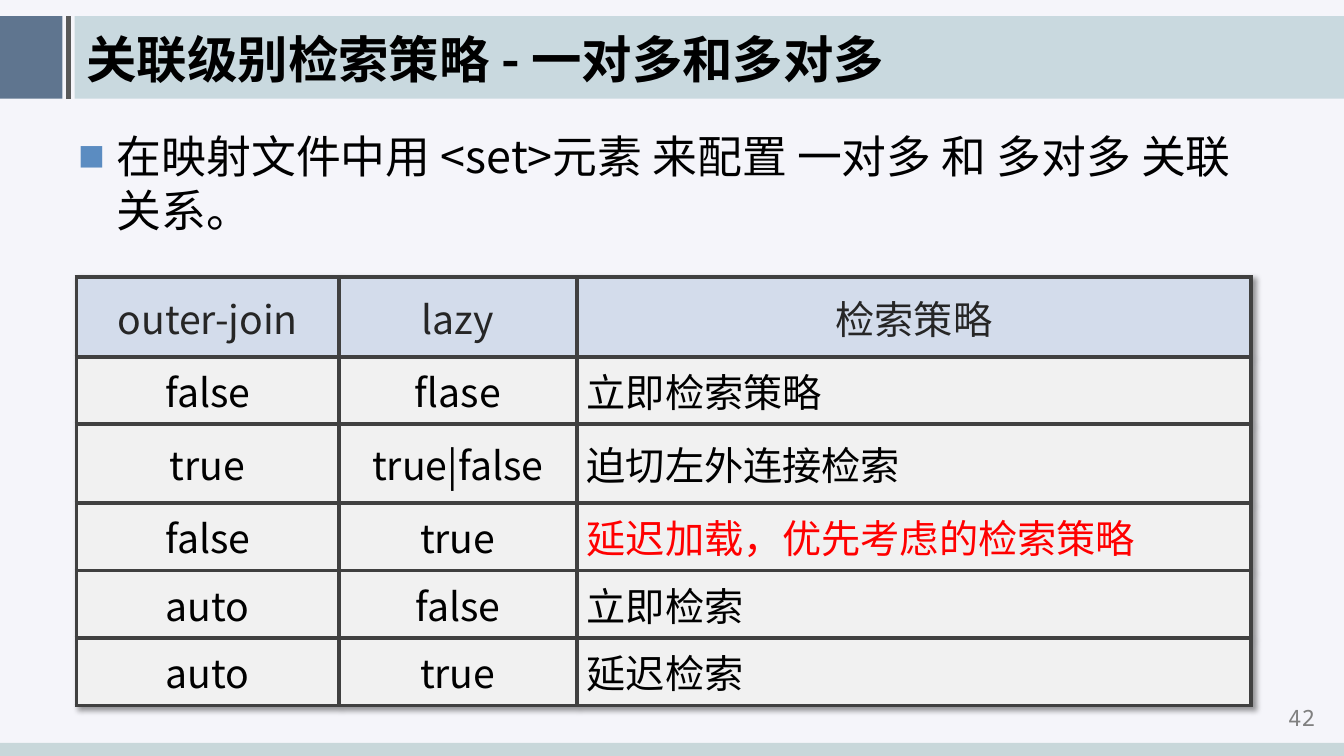
from lxml.etree import SubElement
from pptx import Presentation
from pptx.dml.color import RGBColor
from pptx.enum.shapes import MSO_CONNECTOR, MSO_SHAPE
from pptx.enum.text import MSO_ANCHOR, PP_ALIGN
from pptx.oxml import parse_xml
from pptx.oxml.ns import nsdecls, qn
from pptx.util import Inches, Pt

SANS = "Noto Sans CJK SC"
MONO = "Noto Sans Mono"
BLACK = "000000"
RED = "FF0000"
HEADER_TEXT = "262626"
HEADER_FILL = "D3DCEB"
BODY_FILL = "F1F1F1"

COLUMN_WIDTHS = (2.6, 2.36, 6.69)
ROW_HEIGHTS = (0.79, 0.67, 0.78, 0.67, 0.67, 0.67)
STRATEGIES = (
    ("outer-join", "lazy", "检索策略"),
    ("false", "flase", "立即检索策略"),
    ("true", "true|false", "迫切左外连接检索"),
    ("false", "true", "延迟加载，优先考虑的检索策略"),
    ("auto", "false", "立即检索"),
    ("auto", "true", "延迟检索"),
)
PREFERRED_ROW = 3


def paint(color_format, color):
    color_format.rgb = RGBColor.from_string(color)


def fill_solid(fill, color):
    fill.solid()
    paint(fill.fore_color, color)


def style_paragraph(paragraph, size, color=BLACK, font_name=SANS,
                    bold=False, align=PP_ALIGN.LEFT):
    paragraph.alignment = align
    font = paragraph.font
    font.size, font.bold, font.name = Pt(size), bold, font_name
    paint(font.color, color)
    properties = paragraph._p.get_or_add_pPr().find(qn("a:defRPr"))
    SubElement(properties, qn("a:ea"), typeface=font_name)


def add_bar(slide, left, top, width, height, color, opacity=100):
    bar = slide.shapes.add_shape(MSO_SHAPE.RECTANGLE, Inches(left), Inches(top),
                                 Inches(width), Inches(height))
    bar.shadow.inherit = False
    fill_solid(bar.fill, color)
    bar.line.fill.background()
    if opacity < 100:
        color_element = bar._element.spPr.find(qn("a:solidFill"))[0]
        SubElement(color_element, qn("a:alpha"), val=str(opacity * 1000))


def add_vertical_rule(slide, x, top, bottom, color, width):
    rule = slide.shapes.add_connector(MSO_CONNECTOR.STRAIGHT, Inches(x), Inches(bottom),
                                      Inches(x), Inches(top))
    paint(rule.line.color, color)
    rule.line.width = Pt(width)
    SubElement(rule._element.spPr, qn("a:effectLst"))


def add_text(slide, left, top, width, height, text, size,
             anchor=MSO_ANCHOR.MIDDLE, **style):
    box = slide.shapes.add_textbox(Inches(left), Inches(top), Inches(width), Inches(height))
    frame = box.text_frame
    frame.word_wrap = True
    frame.vertical_anchor = anchor
    paragraph = frame.paragraphs[0]
    paragraph.text = text
    style_paragraph(paragraph, size, **style)
    return paragraph


def add_bullet(paragraph, color, indent):
    properties = paragraph._p.get_or_add_pPr()
    properties.set("marL", str(Inches(indent)))
    properties.set("indent", str(-Inches(indent)))
    bullet_parts = (
        f'<a:buClr {nsdecls("a")}><a:srgbClr val="{color}"/></a:buClr>',
        f'<a:buSzPct {nsdecls("a")} val="60000"/>',
        f'<a:buFont {nsdecls("a")} typeface="{SANS}"/>',
        f'<a:buChar {nsdecls("a")} char="■"/>',
    )
    default_font = properties.find(qn("a:defRPr"))
    for part in bullet_parts:
        default_font.addprevious(parse_xml(part))


def set_borders(cell, color, width):
    properties = cell._tc.get_or_add_tcPr()
    for position, side in enumerate(("lnL", "lnR", "lnT", "lnB")):
        properties.insert(position, parse_xml(
            f'<a:{side} {nsdecls("a")} w="{Pt(width)}"><a:solidFill>'
            f'<a:srgbClr val="{color}"/></a:solidFill></a:{side}>'))


def add_table_shadow(table):
    properties = table._tbl.tblPr
    properties.insert(0, parse_xml(
        f'<a:effectLst {nsdecls("a")}><a:outerShdw blurRad="50800" dist="38100" '
        'dir="2700000" algn="tl" rotWithShape="0"><a:srgbClr val="000000">'
        '<a:alpha val="40000"/></a:srgbClr></a:outerShdw></a:effectLst>'))


def add_strategy_table(slide, left, top):
    table = slide.shapes.add_table(
        len(ROW_HEIGHTS), len(COLUMN_WIDTHS), Inches(left), Inches(top),
        Inches(sum(COLUMN_WIDTHS)), Inches(sum(ROW_HEIGHTS))).table
    for column, width in zip(table.columns, COLUMN_WIDTHS):
        column.width = Inches(width)
    for row, height in zip(table.rows, ROW_HEIGHTS):
        row.height = Inches(height)
    for row_index, texts in enumerate(STRATEGIES):
        is_header = row_index == 0
        for column_index, text in enumerate(texts):
            is_strategy = column_index == 2
            color = HEADER_TEXT if is_header else BLACK
            if is_strategy and row_index == PREFERRED_ROW:
                color = RED
            left_aligned = is_strategy and not is_header
            cell = table.cell(row_index, column_index)
            cell.text = text
            cell.vertical_anchor = MSO_ANCHOR.MIDDLE
            fill_solid(cell.fill, HEADER_FILL if is_header else BODY_FILL)
            set_borders(cell, "404040", 3)
            style_paragraph(cell.text_frame.paragraphs[0], 28, color,
                            align=PP_ALIGN.LEFT if left_aligned else PP_ALIGN.CENTER)
    add_table_shadow(table)


def main():
    presentation = Presentation()
    presentation.slide_width = Inches(13.33)
    presentation.slide_height = Inches(7.5)
    slide = presentation.slides.add_slide(presentation.slide_layouts[6])
    fill_solid(slide.background.fill, "F5F5FA")

    add_bar(slide, 0, 0.16, 0.62, 0.82, "204062", opacity=70)
    add_vertical_rule(slide, 0.68, 0.16, 0.98, "595959", 3)
    add_bar(slide, 0.74, 0.16, 12.59, 0.82, "6699A1", opacity=30)
    add_bar(slide, 0, 7.37, 13.33, 0.13, "C8D7DA")
    add_text(slide, 12.49, 6.96, 0.84, 0.31, "42", 16, color="808080",
             font_name=MONO, align=PP_ALIGN.CENTER)

    add_text(slide, 0.76, 0.21, 11.54, 0.73, "关联级别检索策略 - 一对多和多对多", 36, bold=True)
    mapping_note = add_text(
        slide, 0.68, 1.23, 11.97, 1.34,
        "在映射文件中用 <set>元素 来配置 一对多 和 多对多 关联关系。", 32,
        anchor=MSO_ANCHOR.TOP)
    mapping_note.space_before = Pt(3)
    add_bullet(mapping_note, "5B8CC1", 0.38)
    add_strategy_table(slide, 0.76, 2.75)

    presentation.save("out.pptx")


if __name__ == "__main__":
    main()
